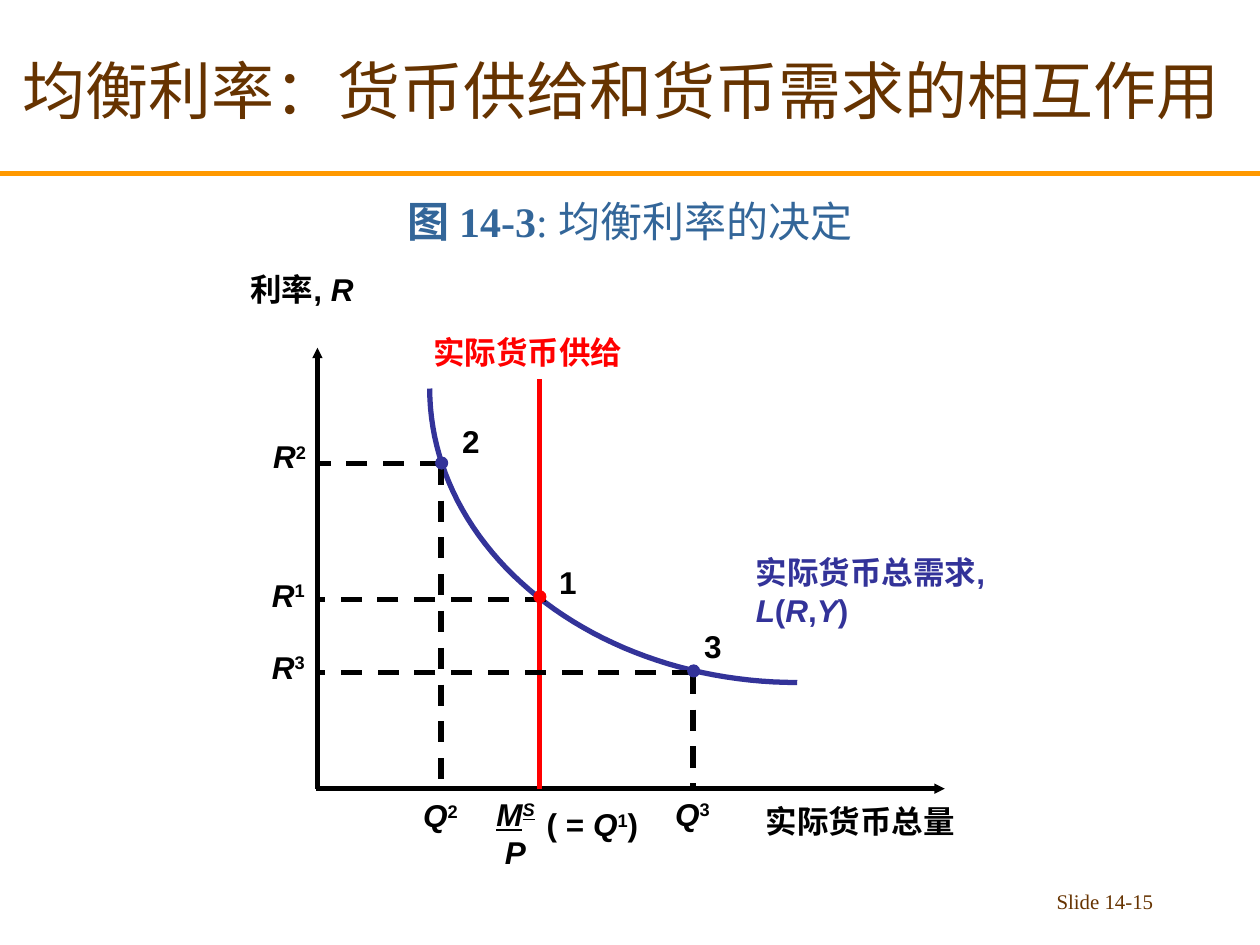
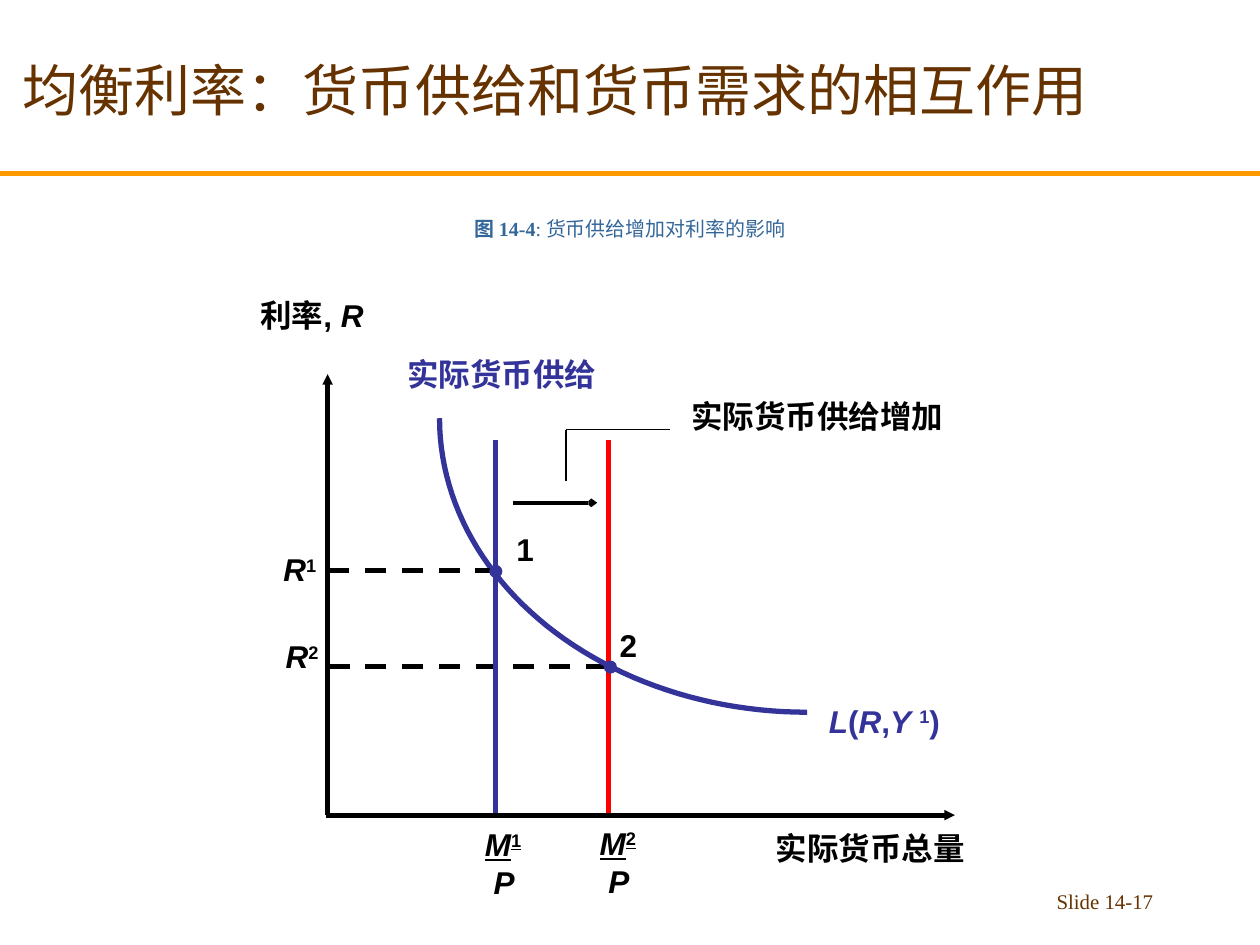
from math import cos, pi, sin

from lxml import etree
from pptx import Presentation
from pptx.dml.color import RGBColor
from pptx.enum.dml import MSO_LINE
from pptx.enum.shapes import MSO_CONNECTOR, MSO_SHAPE
from pptx.enum.text import MSO_ANCHOR, MSO_AUTO_SIZE, PP_ALIGN
from pptx.oxml.ns import qn
from pptx.util import Pt

# Shared look
BLACK = RGBColor(0x00, 0x00, 0x00)
RED = RGBColor(0xFF, 0x00, 0x00)
INDIGO = RGBColor(0x33, 0x33, 0x99)
BROWN = RGBColor(0x66, 0x33, 0x00)
STEEL = RGBColor(0x33, 0x66, 0x99)
ORANGE = RGBColor(0xFF, 0x99, 0x00)
SERIF, SANS = "Times New Roman", "Arial"

LEFT, CENTER, RIGHT = PP_ALIGN.LEFT, PP_ALIGN.CENTER, PP_ALIGN.RIGHT
TOP, MIDDLE, BOTTOM = MSO_ANCHOR.TOP, MSO_ANCHOR.MIDDLE, MSO_ANCHOR.BOTTOM
FIT_SHAPE = MSO_AUTO_SIZE.SHAPE_TO_FIT_TEXT
STRAIGHT, OVAL, DASH = MSO_CONNECTOR.STRAIGHT, MSO_SHAPE.OVAL, MSO_LINE.DASH

SLIDE_W, SLIDE_H = 720, 540
TITLE = "均衡利率：货币供给和货币需求的相互作用"
HEAVY = 3
DOT = 6.5
CURVE_W, CURVE_H, CURVE_STEPS = 210, 168, 48


# Text: a run is (text, marks) with b bold, i italic, u underline, ^ superscript
def add_text(slide, box, paragraphs, size, font, color, align=LEFT, anchor=TOP):
    shape = slide.shapes.add_textbox(*(Pt(v) for v in box))
    frame = shape.text_frame
    frame.word_wrap = True
    frame.vertical_anchor = anchor
    for index, runs in enumerate(paragraphs):
        paragraph = frame.paragraphs[0] if index == 0 else frame.add_paragraph()
        paragraph.alignment = align
        for text, marks in runs:
            run = paragraph.add_run()
            run.text = text
            run.font.name = font
            run.font.size = Pt(size)
            run.font.color.rgb = color
            run.font.bold = "b" in marks
            run.font.italic = "i" in marks
            run.font.underline = "u" in marks
            if "^" in marks:
                run._r.get_or_add_rPr().set("baseline", "30000")
    return frame


def add_label(slide, left, top, width, *paragraphs, color=BLACK, align=LEFT):
    height = 21.6 * len(paragraphs) + 7.2
    bold = [[(text, marks + "b") for text, marks in runs] for runs in paragraphs]
    frame = add_text(slide, (left, top, width, height), bold, 18, SANS, color, align)
    frame.word_wrap = False
    frame.auto_size = FIT_SHAPE


def symbol(letter, index):
    return [(letter, "i"), (index, "^")]


def add_real_money(slide, left, top, index, index_marks):
    """M over P, with the numerator underlined as the fraction bar."""
    add_label(slide, left, top, 38,
              [("M", "iu"), (index, index_marks)], [(" ", ""), ("P", "i")])


# Lines and curves
def add_line(slide, start, end, color=BLACK, width=HEAVY, dash=None, arrow=None):
    line = slide.shapes.add_connector(STRAIGHT, *(Pt(v) for v in (*start, *end)))
    line.line.color.rgb = color
    line.line.width = Pt(width)
    if dash:
        line.line.dash_style = dash
    if arrow:
        etree.SubElement(line.line._get_or_add_ln(), qn("a:tailEnd"),
                         type=arrow, w="sm", len="sm")
    etree.SubElement(line._element.spPr, qn("a:effectLst"))


def add_demand_curve(slide, left, top):
    """Quarter ellipse that falls steeply and then flattens."""
    angles = [pi / 2 * step / CURVE_STEPS for step in range(CURVE_STEPS + 1)]
    points = [(Pt(left + CURVE_W * (1 - cos(a))), Pt(top + CURVE_H * sin(a)))
              for a in angles]
    builder = slide.shapes.build_freeform(*points[0])
    builder.add_line_segments(points[1:], close=False)
    curve = builder.convert_to_shape()
    curve.shadow.inherit = False
    curve.fill.background()
    curve.line.color.rgb = INDIGO
    curve.line.width = Pt(HEAVY)


# Parts of the diagram
def add_axes(slide, origin):
    x, y = origin
    add_line(slide, (x, y), (x, y - 252), arrow="triangle")
    add_line(slide, (x - 1, y), (x + 358.5, y), arrow="triangle")
    add_label(slide, x - 45.4, y - 300.2, 78, [("利率, ", ""), ("R", "i")])
    add_label(slide, x + 249, y + 4.3, 122.4, [("实际货币总量", "")])


def add_point(slide, origin, number, number_at, guide, dot, rate_at,
              quantity_at=None, color=INDIGO):
    """Numbered point with dashed guides and labels on the axes."""
    axis_x, axis_y = origin
    add_line(slide, guide, (axis_x - 1, guide[1]), dash=DASH)
    add_label(slide, *rate_at, 33, symbol("R", number))
    if quantity_at:
        add_line(slide, guide, (guide[0], axis_y), dash=DASH)
        add_label(slide, *quantity_at, 34, symbol("Q", number))
    marker = slide.shapes.add_shape(OVAL, Pt(dot[0] - DOT / 2), Pt(dot[1] - DOT / 2),
                                    Pt(DOT), Pt(DOT))
    marker.shadow.inherit = False
    marker.fill.solid()
    marker.fill.fore_color.rgb = color
    marker.line.color.rgb = color
    marker.line.width = Pt(1)
    add_label(slide, *number_at, 24.5, [(number, "")])


# Title, band, caption and slide number
def add_framed_slide(deck, title_size, figure, caption, caption_box, caption_size, page):
    slide = deck.slides.add_slide(deck.slide_layouts[6])
    add_line(slide, (0, 99.2), (SLIDE_W, 99.2), ORANGE)
    add_text(slide, (516, 504.5, 150, 24), [[(f"Slide {page}", "")]],
             11.9, SERIF, BROWN, RIGHT)
    add_text(slide, (6, 6, 714, 90), [[(TITLE, "")]],
             title_size, SERIF, BROWN, anchor=MIDDLE)
    add_text(slide, caption_box, [[(f"图 {figure}", "b"), (f": {caption}", "")]],
             caption_size, SERIF, STEEL, CENTER, BOTTOM)
    return slide


def build_equilibrium(deck):
    slide = add_framed_slide(deck, 36, "14-3", "均衡利率的决定",
                             (0, 96, SLIDE_W, 48), 24, "14-15")
    origin = (181.4, 450.7)
    add_demand_curve(slide, 245.6, 222)
    add_label(slide, 424.8, 312.5, 150, [("实际货币总需求,", "")],
              [("L", "i"), ("(", ""), ("R", "i"), (",", ""), ("Y", "i"), (")", "")],
              color=INDIGO)
    add_axes(slide, origin)

    # Money supply
    add_line(slide, (308.4, 216.7), (308.4, origin[1]), RED)
    add_label(slide, 240.5, 186.5, 122.4, [("实际货币供给", "")], color=RED)
    add_real_money(slide, 276.5, 450.7, "S", "iu^")
    add_label(slide, 305.3, 456.5, 70, [("( = ", ""), *symbol("Q", "1"), (")", "")])

    # Points on the demand curve
    add_point(slide, origin, "2", (257, 237.6), (252, 265), (252.4, 264.6),
              (149, 246.2), (234.7, 451.4))
    add_point(slide, origin, "1", (312.5, 318.2), (311.8, 342.7), (308.5, 341),
              (148.3, 325.4), color=RED)
    add_point(slide, origin, "3", (395.3, 355), (396, 384.5), (396.4, 383.4),
              (148.3, 366.5), (378.7, 450.7))


def build_supply_increase(deck):
    slide = add_framed_slide(deck, 32, "14-4", "货币供给增加对利率的影响",
                             (0, 120, SLIDE_W, 21), 11.4, "14-17")
    origin = (187.2, 465.8)

    # New supply and its point
    add_line(slide, (347.8, 251.3), (347.8, 467), RED)
    add_real_money(slide, 335.5, 467.3, "2", "u^")
    add_point(slide, origin, "2", (347, 354.2), (347, 380.9), (348.8, 381.2),
              (156.2, 360.7))

    # First supply
    add_real_money(slide, 270, 468, "1", "u^")
    add_label(slide, 225.4, 199.4, 122.4, [("实际货币供给", "")],
              color=INDIGO, align=CENTER)
    add_line(slide, (283, 251.3), (283, 467), INDIGO)

    # Shift arrow and its callout
    add_line(slide, (293, 287.3), (341.3, 287.3), width=2, arrow="arrow")
    add_line(slide, (323.3, 275), (323.3, 245.5), width=1)
    add_line(slide, (323.3, 245.5), (383, 245.5), width=1)
    add_label(slide, 388, 223.2, 158.4, [("实际货币供给增加", "")])

    # Demand and the first point
    add_demand_curve(slide, 251.2, 239)
    add_label(slide, 466.6, 397.4, 78,
              [("L", "i"), ("(", ""), ("R", "i"), (",", ""), ("Y ", "i"),
               ("1", "^"), (")", "")], color=INDIGO)
    add_point(slide, origin, "1", (288, 299.5), (283.7, 326.2), (283.3, 326.5),
              (154.8, 311))
    add_axes(slide, origin)


def main():
    deck = Presentation()
    deck.slide_width, deck.slide_height = Pt(SLIDE_W), Pt(SLIDE_H)
    build_equilibrium(deck)
    build_supply_increase(deck)
    deck.save("out.pptx")


if __name__ == "__main__":
    main()
